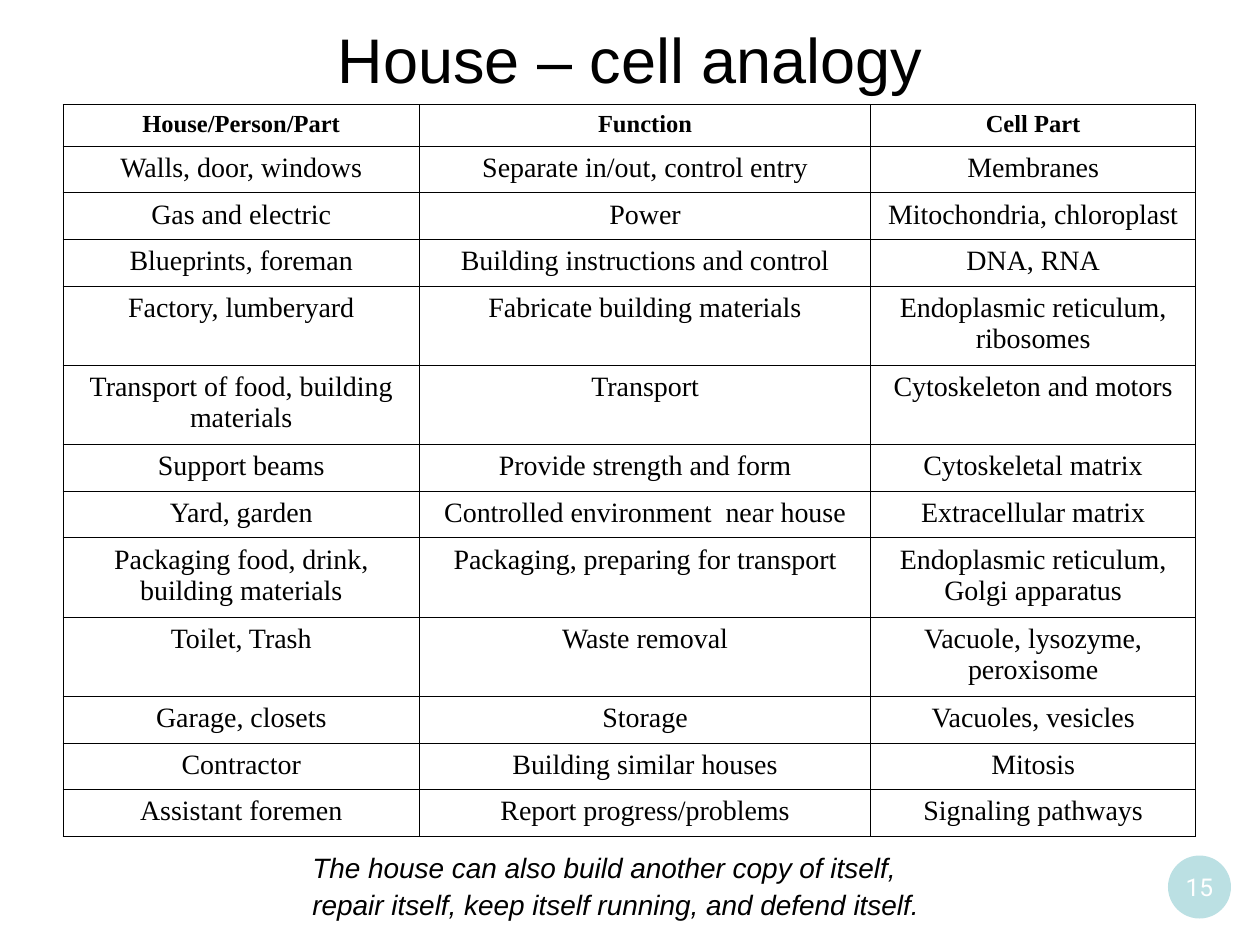
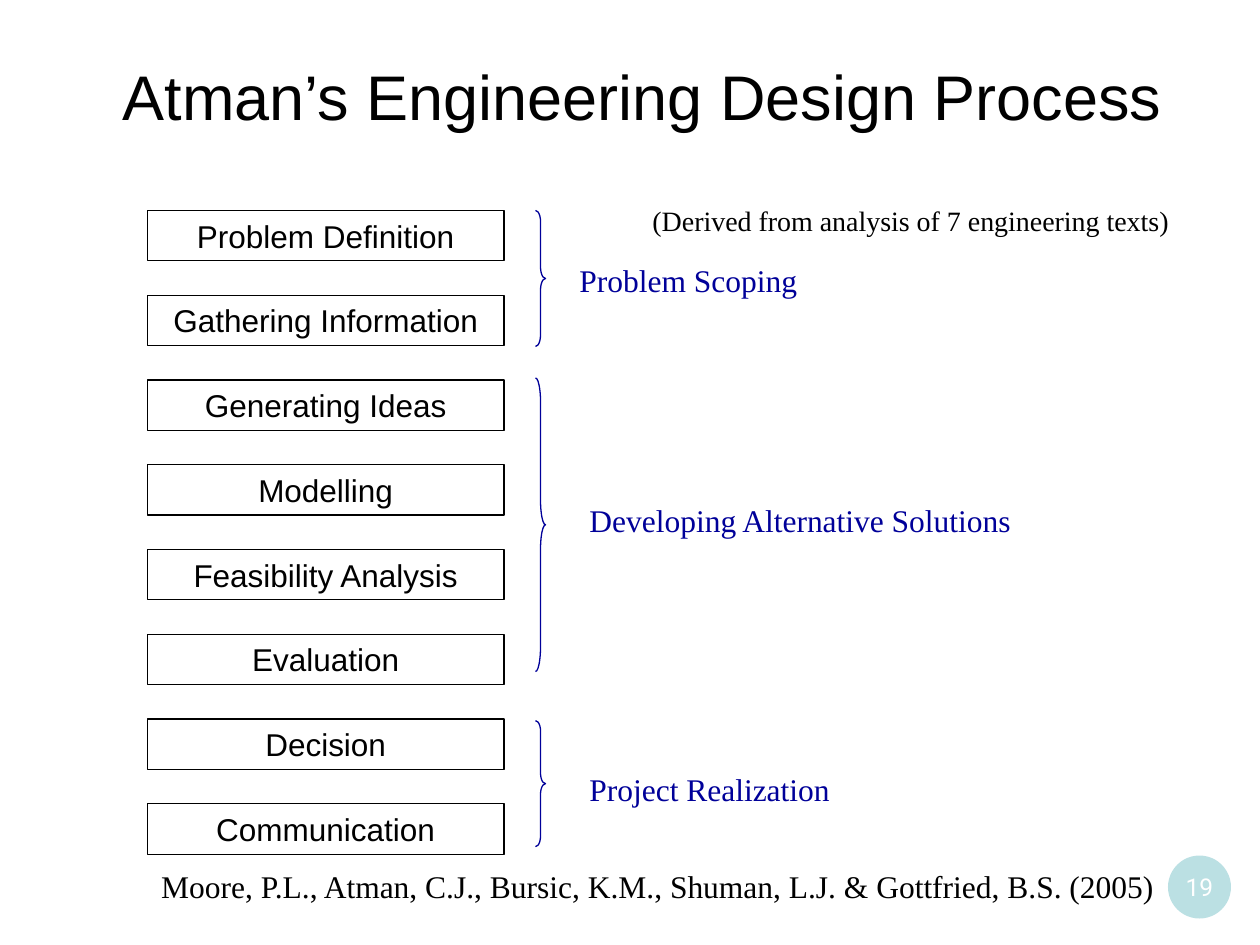
import pptx
import pptx.util
import pptx.dml.color
import pptx.enum.text
import pptx.enum.shapes
import pptx.oxml
import pptx.oxml.ns

Inches = pptx.util.Inches
Pt = pptx.util.Pt
RGBColor = pptx.dml.color.RGBColor
ALIGN = pptx.enum.text.PP_ALIGN
ANCHOR = pptx.enum.text.MSO_ANCHOR
AUTO_SIZE = pptx.enum.text.MSO_AUTO_SIZE
SHAPE = pptx.enum.shapes.MSO_SHAPE

COLORS = {"text": "000000", "phase": "000099", "badge": "BBE0E3", "paper": "FFFFFF"}
SANS, SERIF, BADGE_FONT = "Arial", "Times New Roman", "Roboto"


def add_run(paragraph, text, size, font=SERIF, color="text", bold=False, italic=False):
    run = paragraph.add_run()
    run.text = text
    run.font.size = Pt(size)
    run.font.name = font
    run.font.bold = bold
    run.font.italic = italic
    run.font.color.rgb = RGBColor.from_string(COLORS[color])


def prepare_text(shape, align, anchor=ANCHOR.TOP, wrap=True, grow=True):
    frame = shape.text_frame
    frame.word_wrap = wrap
    frame.auto_size = AUTO_SIZE.SHAPE_TO_FIT_TEXT if grow else AUTO_SIZE.NONE
    frame.vertical_anchor = anchor
    paragraph = frame.paragraphs[0]
    paragraph.alignment = align
    return paragraph


presentation = pptx.Presentation()
presentation.slide_width = Inches(10)
presentation.slide_height = Inches(7.5)

slide_frames = [
    ("House – cell analogy", (0.5, 0, 9, 0.92), ALIGN.CENTER, ANCHOR.MIDDLE, 0.05, "15"),
    ("Atman’s Engineering Design Process", (0.32, 0.29, 9, 0.87), ALIGN.RIGHT, ANCHOR.BOTTOM, 0.1, "19"),
]
for title_text, box, align, anchor, bottom_margin, number in slide_frames:
    slide = presentation.slides.add_slide(presentation.slide_layouts[5])
    title = slide.shapes.title
    title.left, title.top, title.width, title.height = [Inches(value) for value in box]
    title.text_frame.margin_bottom = Inches(bottom_margin)
    add_run(prepare_text(title, align, anchor, grow=False), title_text, 36, SANS)

    badge = slide.shapes.add_shape(SHAPE.OVAL, Inches(9.27), Inches(6.79), Inches(0.5), Inches(0.5))
    badge.shadow.inherit = False
    badge.fill.solid()
    badge.fill.fore_color.rgb = RGBColor.from_string(COLORS["badge"])
    badge.line.fill.background()
    frame = badge.text_frame
    frame.margin_left = frame.margin_right = frame.margin_top = frame.margin_bottom = 0
    paragraph = prepare_text(badge, ALIGN.CENTER, ANCHOR.MIDDLE, wrap=False, grow=False)
    add_run(paragraph, number, 14, BADGE_FONT, "paper")

analogy_slide, process_slide = presentation.slides

analogies = [
    ("House/Person/Part", "Function", "Cell Part"),
    ("Walls, door, windows", "Separate in/out, control entry", "Membranes"),
    ("Gas and electric", "Power", "Mitochondria, chloroplast"),
    ("Blueprints, foreman", "Building instructions and control", "DNA, RNA"),
    ("Factory, lumberyard", "Fabricate building materials", "Endoplasmic reticulum, ribosomes"),
    ("Transport of food, building materials", "Transport", "Cytoskeleton and motors"),
    ("Support beams", "Provide strength and form", "Cytoskeletal matrix"),
    ("Yard, garden", "Controlled environment  near house", "Extracellular matrix"),
    ("Packaging food, drink, building materials", "Packaging, preparing for transport",
     "Endoplasmic reticulum, Golgi apparatus"),
    ("Toilet, Trash", "Waste removal", "Vacuole, lysozyme, peroxisome"),
    ("Garage, closets", "Storage", "Vacuoles, vesicles"),
    ("Contractor", "Building similar houses", "Mitosis"),
    ("Assistant foremen", "Report progress/problems", "Signaling pathways"),
]
two_line_rows = {4, 5, 8, 9}
table = analogy_slide.shapes.add_table(
    len(analogies), 3, Inches(0.5), Inches(0.83), Inches(9), Inches(5.8)).table
table.first_row = False
table.horz_banding = False
for column, width in zip(table.columns, (2.83, 3.58, 2.58)):
    column.width = Inches(width)
for row_index, analogy in enumerate(analogies):
    is_header = row_index == 0
    height = 0.33 if is_header else 0.63 if row_index in two_line_rows else 0.37
    table.rows[row_index].height = Inches(height)
    for cell, text in zip(table.rows[row_index].cells, analogy):
        properties = cell._tc.get_or_add_tcPr()
        for side in ("lnL", "lnR", "lnT", "lnB"):
            properties.append(pptx.oxml.parse_xml(
                f'<a:{side} {pptx.oxml.ns.nsdecls("a")} w="{Pt(0.45)}"><a:solidFill>'
                f'<a:srgbClr val="{COLORS["text"]}"/></a:solidFill></a:{side}>'))
        cell.fill.background()
        paragraph = cell.text_frame.paragraphs[0]
        paragraph.alignment = ALIGN.CENTER
        add_run(paragraph, text, 14 if is_header else 16, bold=is_header)

caption = analogy_slide.shapes.add_textbox(Inches(2.38), Inches(6.7), Inches(5.25), Inches(0.67))
paragraph = prepare_text(caption, ALIGN.LEFT, ANCHOR.MIDDLE)
add_run(paragraph, "The house can also build another copy of itself, repair itself, "
        "keep itself running, and defend itself.", 16, SANS, italic=True)
add_run(paragraph, " ", 18, SANS, italic=True)

steps = ["Problem Definition", "Gathering Information", "Generating Ideas", "Modelling",
         "Feasibility Analysis", "Evaluation", "Decision", "Communication"]
first_top, last_top = 1.67, 6.38
step_pitch = (last_top - first_top) / (len(steps) - 1)
for index, step in enumerate(steps):
    step_box = process_slide.shapes.add_shape(
        SHAPE.RECTANGLE, Inches(1.17), Inches(first_top + index * step_pitch), Inches(2.83), Inches(0.4))
    step_box.shadow.inherit = False
    step_box.fill.background()
    step_box.line.color.rgb = RGBColor.from_string(COLORS["text"])
    step_box.line.width = Pt(0.75)
    paragraph = prepare_text(step_box, ALIGN.CENTER)
    paragraph.space_before = Pt(11.2)
    add_run(paragraph, step, 18, SANS)

brace_width = 0.08
phases = [
    ("Problem Scoping", 1.67, 1.08, (4.5, 2.02, 2.67)),
    ("Developing Alternative Solutions", 3, 2.33, (4.58, 3.93, 4.42)),
    ("Project Realization", 5.72, 1, (4.58, 6.06, 3.83)),
]
for phase, brace_top, brace_height, (left, top, width) in phases:
    brace = process_slide.shapes.add_shape(
        SHAPE.RIGHT_BRACE, Inches(4.25), Inches(brace_top), Inches(brace_width), Inches(brace_height))
    brace.adjustments[0] = brace_height / 12 / brace_width
    brace.shadow.inherit = False
    brace.fill.background()
    brace.line.color.rgb = RGBColor.from_string(COLORS["phase"])
    brace.line.width = Pt(0.75)
    label = process_slide.shapes.add_textbox(Inches(left), Inches(top), Inches(width), Inches(0.4))
    paragraph = prepare_text(label, ALIGN.LEFT)
    paragraph.space_before = Pt(11.2)
    add_run(paragraph, phase, 18, color="phase")

derivation = process_slide.shapes.add_textbox(Inches(5.08), Inches(1.57), Inches(5.02), Inches(0.37))
add_run(prepare_text(derivation, ALIGN.LEFT, wrap=False),
        "(Derived from analysis of 7 engineering texts)", 16)

citation = process_slide.shapes.add_textbox(Inches(0.86), Inches(6.83), Inches(8.4), Inches(0.7))
add_run(prepare_text(citation, ALIGN.RIGHT),
        "Moore, P.L., Atman, C.J., Bursic, K.M., Shuman, L.J. & Gottfried, B.S. (2005)", 18)

presentation.save("out.pptx")
